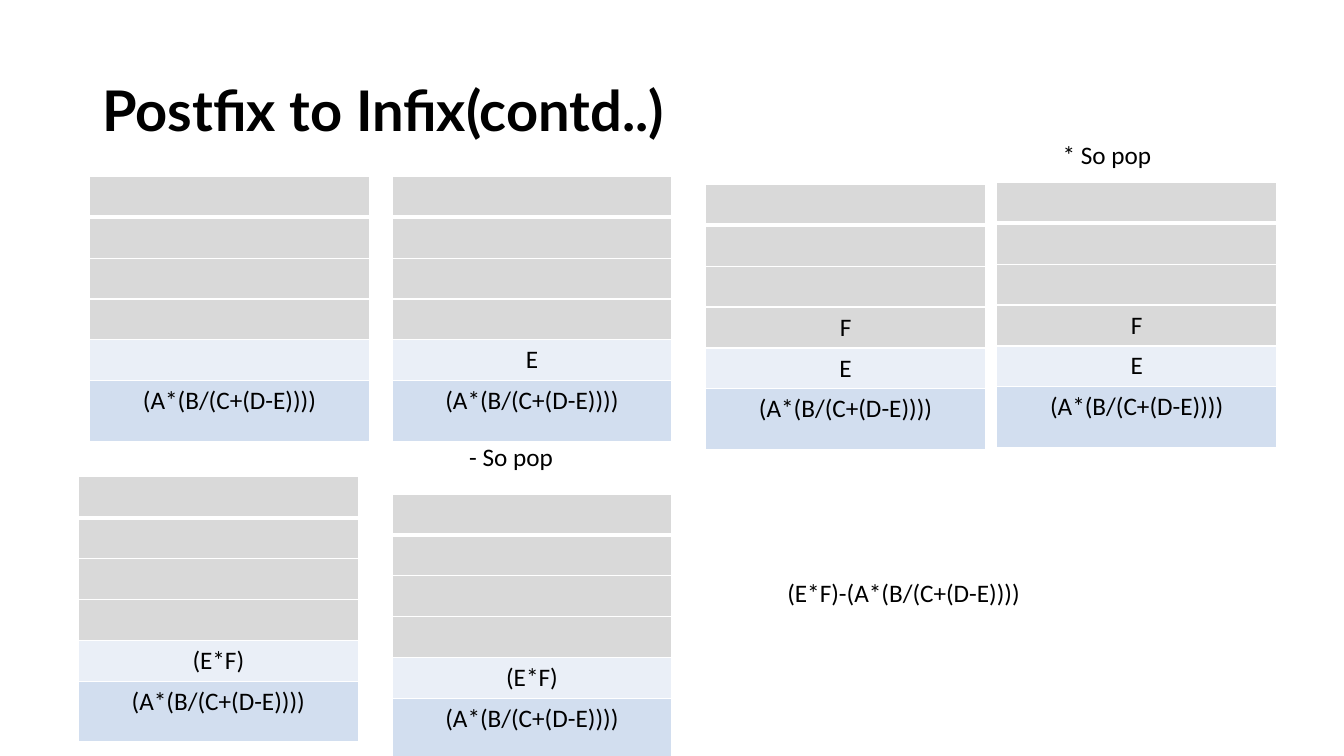
from dataclasses import dataclass

from lxml.etree import SubElement
from pptx import Presentation
from pptx.dml.color import RGBColor
from pptx.enum.text import MSO_ANCHOR, MSO_AUTO_SIZE as AutoSize, PP_ALIGN as Align
from pptx.oxml.ns import qn
from pptx.slide import Slide
from pptx.util import Inches, Pt

WIDTH, HEIGHT = Inches(13.33), Inches(7.5)
COLUMN, ROW = WIDTH / 48, HEIGHT / 75
STACK_COLUMNS = 10
LEVEL_ROWS = (4, 4, 4, 4, 4, 6)
TITLE_ONLY = 5


@dataclass(frozen=True)
class Theme:
    ink: str = "000000"
    rule: str = "FFFFFF"
    levels: tuple[str, ...] = ("D9D9D9",) * 4 + ("EAEFF7", "D2DEEF")
    title_font: str = "Lato"
    body_font: str = "Calibri"
    title_size: int = 40
    body_size: int = 18
    thin: int = 1
    thick: int = 3


@dataclass(frozen=True)
class Stack:
    """A stack placed on the grid, with its items from bottom to top."""
    column: float
    row: float
    items: tuple[str, ...]


@dataclass(frozen=True)
class Label:
    text: str
    column: float
    row: float
    columns: float
    align: Align = Align.LEFT


THEME = Theme()
BASE = "(A*(B/(C+(D-E))))"
STACKS = (
    Stack(3.2, 17.5, (BASE,)),
    Stack(14, 17.5, (BASE, "E")),
    Stack(25.2, 18.3, (BASE, "E", "F")),
    Stack(35.6, 18.1, (BASE, "E", "F")),
    Stack(2.8, 47.3, (BASE, "(E*F)")),
    Stack(14, 49, (BASE, "(E*F)")),
)
LABELS = (
    Label("* So pop", 37.6, 13.3, 3.93),
    Label("- So pop", 16.4, 43.3, 3.75),
    Label("(E*F)-(A*(B/(C+(D-E))))", 27.7, 56.8, 9.15, Align.CENTER),
)
TITLE_FONT = {"name": THEME.title_font, "size": Pt(THEME.title_size), "bold": True}
BODY_FONT = {"name": THEME.body_font, "size": Pt(THEME.body_size), "bold": False}


def set_values(target: object, values: dict) -> None:
    for name, value in values.items():
        setattr(target, name, value)


def grid_box(column: float, row: float, columns: float, rows: float) -> dict[str, int]:
    """Turn grid units into slide lengths."""
    return {"left": round(column * COLUMN), "top": round(row * ROW),
            "width": round(columns * COLUMN), "height": round(rows * ROW)}


def write(frame, text: str, font: dict, align: Align) -> None:
    paragraph = frame.paragraphs[0]
    paragraph.alignment = align
    run = paragraph.add_run()
    run.text = text
    set_values(run.font, font)
    run.font.color.rgb = RGBColor.from_string(THEME.ink)


def add_borders(cell, level: int) -> None:
    """Rule all four sides, with a thick rule under the top level."""
    properties = cell._tc.get_or_add_tcPr()
    thick_side = {0: "lnB", 1: "lnT"}.get(level)
    for side in ("lnL", "lnR", "lnT", "lnB"):
        points = THEME.thick if side == thick_side else THEME.thin
        line = SubElement(properties, qn(f"a:{side}"), w=str(Pt(points)))
        fill = SubElement(line, qn("a:solidFill"))
        SubElement(fill, qn("a:srgbClr"), val=THEME.rule)


def add_stack(slide: Slide, stack: Stack) -> None:
    box = grid_box(stack.column, stack.row, STACK_COLUMNS, sum(LEVEL_ROWS))
    table = slide.shapes.add_table(len(LEVEL_ROWS), 1, **box).table
    set_values(table, {"first_row": False, "horz_banding": False})
    empty_levels = len(LEVEL_ROWS) - len(stack.items)
    texts = ("",) * empty_levels + stack.items[::-1]
    for level, (text, rows, color) in enumerate(zip(texts, LEVEL_ROWS, THEME.levels)):
        table.rows[level].height = round(rows * ROW)
        cell = table.cell(level, 0)
        set_values(cell, {"margin_left": Inches(0.13), "margin_right": Inches(0.13),
                          "margin_top": Inches(0.05), "margin_bottom": Inches(0.05)})
        add_borders(cell, level)
        cell.fill.solid()
        cell.fill.fore_color.rgb = RGBColor.from_string(color)
        if text:
            write(cell.text_frame, text, BODY_FONT, Align.CENTER)


def add_label(slide: Slide, label: Label) -> None:
    box = grid_box(label.column, label.row, label.columns, 4)
    frame = slide.shapes.add_textbox(**box).text_frame
    set_values(frame, {"word_wrap": False, "auto_size": AutoSize.SHAPE_TO_FIT_TEXT})
    write(frame, label.text, BODY_FONT, label.align)


def place_title(slide: Slide, text: str) -> None:
    title = slide.shapes.title
    set_values(title, grid_box(3.3, 4, 41.4, 14.5))
    frame = title.text_frame
    set_values(frame, {"vertical_anchor": MSO_ANCHOR.MIDDLE, "word_wrap": True})
    write(frame, text, TITLE_FONT, Align.LEFT)
    frame.paragraphs[0].line_spacing = 0.9
    title.element.getparent().append(title.element)


def main() -> None:
    presentation = Presentation()
    set_values(presentation, {"slide_width": WIDTH, "slide_height": HEIGHT})
    slide = presentation.slides.add_slide(presentation.slide_layouts[TITLE_ONLY])
    for stack in STACKS:
        add_stack(slide, stack)
    for label in LABELS:
        add_label(slide, label)
    place_title(slide, "Postfix to Infix(contd..)")
    presentation.save("out.pptx")


if __name__ == "__main__":
    main()
